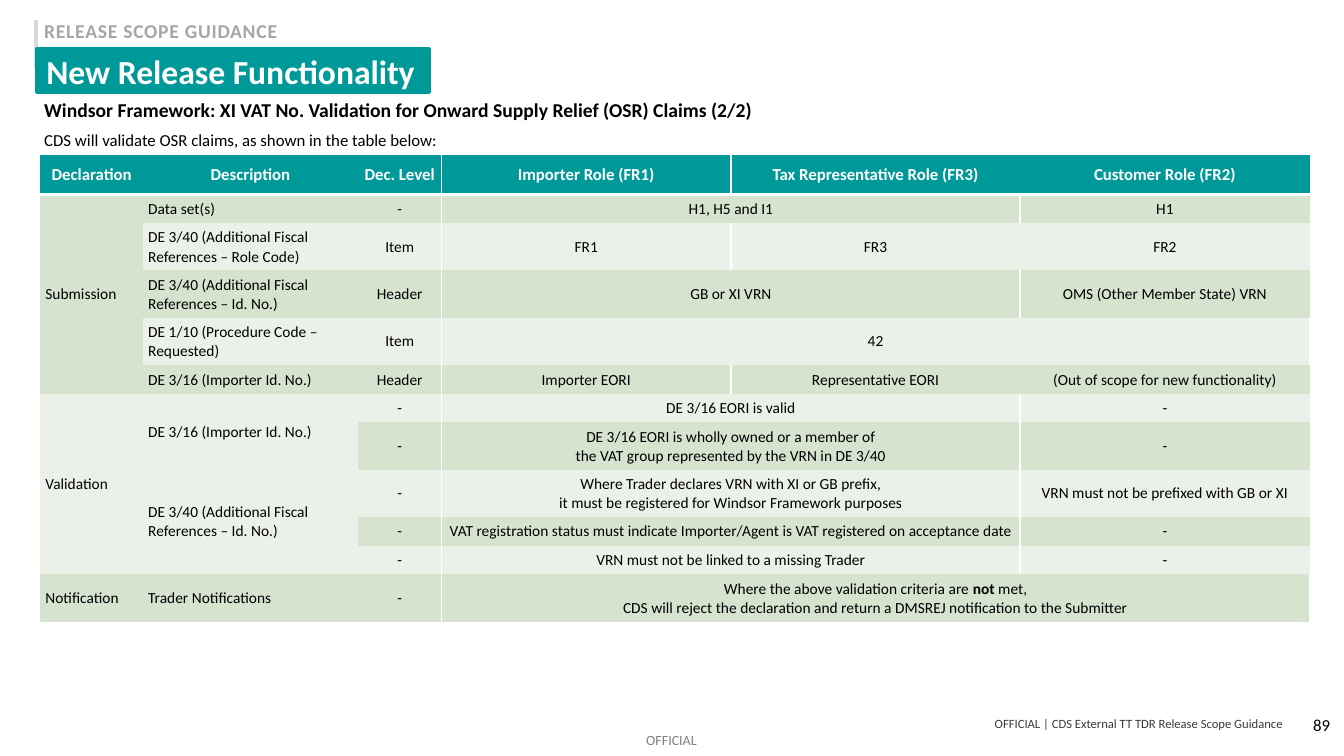
from lxml import etree
from pptx import Presentation
from pptx.dml.color import RGBColor
from pptx.enum.shapes import MSO_CONNECTOR
from pptx.enum.text import MSO_ANCHOR, MSO_AUTO_SIZE, PP_ALIGN
from pptx.oxml.ns import qn
from pptx.util import Inches, Pt

LEFT, CENTER, RIGHT = PP_ALIGN.LEFT, PP_ALIGN.CENTER, PP_ALIGN.RIGHT
TOP, MIDDLE = MSO_ANCHOR.TOP, MSO_ANCHOR.MIDDLE
STRAIGHT = MSO_CONNECTOR.STRAIGHT
NO_AUTOSIZE = MSO_AUTO_SIZE.NONE
TITLE_ONLY = 5
FONT = "Calibri"
PLAIN_TABLE_STYLE = "{2D5ABB26-0587-4C30-8999-92F81FD0307C}"
COLORS = {
    "teal": "009999", "green": "D5E3CF", "pale": "EBF1E9", "white": "FFFFFF",
    "black": "000000", "rule": "D9D9D9", "section": "A6A6A6", "footer": "3B3A3D",
}

# "<" joins a cell to the one on its left, "^" to the one above;
# a line break starts a paragraph and ** switches bold.
UP, ACROSS = "^", "<"
ROWS = [
    ["Declaration", "Description", "Dec. Level", "Importer Role (FR1)",
     "Tax Representative Role (FR3)", "Customer Role (FR2)"],
    ["Submission", "Data set(s)", "-", "H1, H5 and I1", ACROSS, "H1"],
    [UP, "DE 3/40 (Additional Fiscal References – Role Code)", "Item", "FR1", "FR3", "FR2"],
    [UP, "DE 3/40 (Additional Fiscal References – Id. No.)", "Header", "GB or XI VRN", ACROSS,
     "OMS (Other Member State) VRN"],
    [UP, "DE 1/10 (Procedure Code – Requested)", "Item", "42", ACROSS, ACROSS],
    [UP, "DE 3/16 (Importer Id. No.)", "Header", "Importer EORI", "Representative EORI",
     "(Out of scope for new functionality)"],
    ["Validation", "DE 3/16 (Importer Id. No.)", "-", "DE 3/16 EORI is valid", ACROSS, "-"],
    [UP, UP, "-", "DE 3/16 EORI is wholly owned or a member of\n"
     "the VAT group represented by the VRN in DE 3/40", ACROSS, "-"],
    [UP, "DE 3/40 (Additional Fiscal References – Id. No.)", "-",
     "Where Trader declares VRN with XI or GB prefix,\n"
     "it must be registered for Windsor Framework purposes", ACROSS,
     "VRN must not be prefixed with GB or XI"],
    [UP, UP, "-", "VAT registration status must indicate Importer/Agent is VAT registered "
     "on acceptance date", ACROSS, "-"],
    [UP, UP, "-", "VRN must not be linked to a missing Trader", ACROSS, "-"],
    ["Notification", "Trader Notifications", "-",
     "Where the above validation criteria are **not** met,\n"
     "CDS will reject the declaration and return a DMSREJ notification to the Submitter",
     ACROSS, ACROSS],
]
COLUMN_WIDTHS = [1.02, 2.13, 0.83, 2.87, 2.87, 2.87]
HEADER_HEIGHT, SINGLE_HEIGHT, DOUBLE_HEIGHT = 0.39, 0.28, 0.47
DOUBLE_ROWS = {2, 3, 4, 7, 8, 11}
LEVEL_COLUMN, IMPORTER_COLUMN = 2, 3


def rgb(name):
    return RGBColor.from_string(COLORS[name])


def add_span(para, text, size, color, bold=False):
    span = para.add_run()
    span.text = text
    span.font.name = FONT
    span.font.size = Pt(size)
    span.font.bold = bold
    span.font.color.rgb = rgb(color)
    return span


def add_label(page, box, text, size, color, bold=False, align=LEFT, anchor=TOP,
              insets=(0.1, 0.05, 0.1, 0.05), wrap=True):
    """Add a one-line text box and return its frame and span."""
    frame = page.shapes.add_textbox(*map(Inches, box)).text_frame
    frame.word_wrap = wrap
    frame.vertical_anchor = anchor
    (frame.margin_left, frame.margin_top,
     frame.margin_right, frame.margin_bottom) = map(Inches, insets)
    para = frame.paragraphs[0]
    para.alignment = align
    return frame, add_span(para, text, size, color, bold)


def add_heading(page, box):
    """Place the section name, its side rule and the title bar."""
    left, top, width, height = box
    for x in (left, left - 0.01):
        rule = page.shapes.add_connector(
            STRAIGHT, Inches(x), Inches(top), Inches(x), Inches(top + 0.47))
        rule.line.color.rgb = rgb("rule")
        rule.line.width = Pt(2.25)
        etree.SubElement(rule._element.spPr, qn("a:effectLst"))

    span = add_label(page, (left - 0.02, top - 0.06, 2.54, 0.34), "RELEASE SCOPE GUIDANCE",
                     14, "section", bold=True, wrap=False)[1]
    span.font._element.set("spc", "50")

    title = page.shapes.title
    title.left, title.top = Inches(left), Inches(top + 0.28)
    title.width, title.height = Inches(width), Inches(height - 0.28)
    title.fill.solid()
    title.fill.fore_color.rgb = rgb("teal")
    title.line.color.rgb = rgb("teal")
    title.line.width = Pt(2)
    frame = title.text_frame
    frame.auto_size = NO_AUTOSIZE
    frame.vertical_anchor = MIDDLE
    para = frame.paragraphs[0]
    para.alignment = LEFT
    add_span(para, "New Release Functionality", 24, "white", bold=True)
    page.shapes._spTree.append(title._element)  # the bar covers the rule's lower end


def add_introduction(page, box):
    frame = add_label(
        page, box, "Windsor Framework: XI VAT No. Validation for Onward Supply Relief (OSR) "
        "Claims (2/2)", 14, "black", bold=True)[0]
    para = frame.add_paragraph()
    para.space_before = Pt(6)
    add_span(para, "CDS will validate OSR claims, as shown in the table below:", 12, "black")


def add_borders(cell, borders):
    """Draw white borders, given as (side, points) in the order L, R, T, B."""
    properties = cell._tc.get_or_add_tcPr()
    for position, (side, points) in enumerate(borders):
        line = etree.Element(qn(f"a:ln{side}"), w=str(Pt(points)))
        fill = etree.SubElement(line, qn("a:solidFill"))
        etree.SubElement(fill, qn("a:srgbClr"), val=COLORS["white"])
        properties.insert(position, line)


def fill_cell(cell, text, row, column):
    is_header = row == 0
    cell.margin_left = cell.margin_right = Inches(0.05)
    cell.margin_top = cell.margin_bottom = Inches(0.05)
    cell.vertical_anchor = MIDDLE
    cell.fill.solid()
    cell.fill.fore_color.rgb = rgb("teal" if is_header else "green" if row % 2 else "pale")
    borders = []
    if column == IMPORTER_COLUMN:
        borders.append(("L", 1.5))
    if column in (LEVEL_COLUMN, IMPORTER_COLUMN):
        borders.append(("R", 1.5))
    if is_header:
        borders.append(("B", 3))
    add_borders(cell, borders)
    if text in (UP, ACROSS):
        return
    size, color = (12, "white") if is_header else (11, "black")
    frame = cell.text_frame
    for number, line in enumerate(text.split("\n")):
        para = frame.add_paragraph() if number else frame.paragraphs[0]
        para.alignment = CENTER if is_header or column >= LEVEL_COLUMN else LEFT
        for part, words in enumerate(line.split("**")):
            add_span(para, words, size, color, bold=is_header or part % 2 == 1)


def count_joined(cells, mark):
    """Count the cells at the start of a list that carry the joining mark."""
    return next((i for i, text in enumerate(cells) if text != mark), len(cells))


def add_validation_table(page, box):
    frame = page.shapes.add_table(len(ROWS), len(COLUMN_WIDTHS), *map(Inches, box))
    table = frame.table
    table._tbl.tblPr.find(qn("a:tableStyleId")).text = PLAIN_TABLE_STYLE
    table.horz_banding = False
    for column, width in zip(table.columns, COLUMN_WIDTHS):
        column.width = Inches(width)
    for r, texts in enumerate(ROWS):
        height = DOUBLE_HEIGHT if r in DOUBLE_ROWS else SINGLE_HEIGHT if r else HEADER_HEIGHT
        table.rows[r].height = Inches(height)
        for c, text in enumerate(texts):
            fill_cell(table.cell(r, c), text, r, c)
            if text in (UP, ACROSS):
                continue
            down = count_joined([row[c] for row in ROWS[r + 1:]], UP)
            across = count_joined(texts[c + 1:], ACROSS)
            if down or across:
                table.cell(r, c).merge(table.cell(r + down, c + across))


def add_footer(page, box):
    left, top, width, height = box
    span = add_label(page, (left + 6.41, top + 0.27, 0.53, 0.17), "OFFICIAL", 10, "black",
                     insets=(0, 0, 0, 0), wrap=False)[1]
    color = span.font._element.find(".//" + qn("a:srgbClr"))
    etree.SubElement(color, qn("a:alpha"), val="50000")
    add_label(page, (left + 3.22, top + 0.11, 9.56, 0.16),
              "OFFICIAL | CDS External TT TDR Release Scope Guidance", 9, "footer",
              align=RIGHT, anchor=MIDDLE, insets=(0, 0, 0.06, 0))
    add_label(page, (left + width - 3.04, top, 3, 0.4), "89", 12, "black",
              align=RIGHT, anchor=MIDDLE)


def main():
    deck = Presentation()
    deck.slide_width, deck.slide_height = Inches(13.33), Inches(7.5)
    page = deck.slides.add_slide(deck.slide_layouts[TITLE_ONLY])
    add_heading(page, (0.36, 0.2, 3.9, 0.72))
    add_introduction(page, (0.34, 0.92, 12.53, 0.72))
    add_validation_table(page, (0.4, 1.54, 12.6, 4.61))
    add_footer(page, (0, 6.99, 13.33, 0.51))
    deck.save("out.pptx")


if __name__ == "__main__":
    main()
